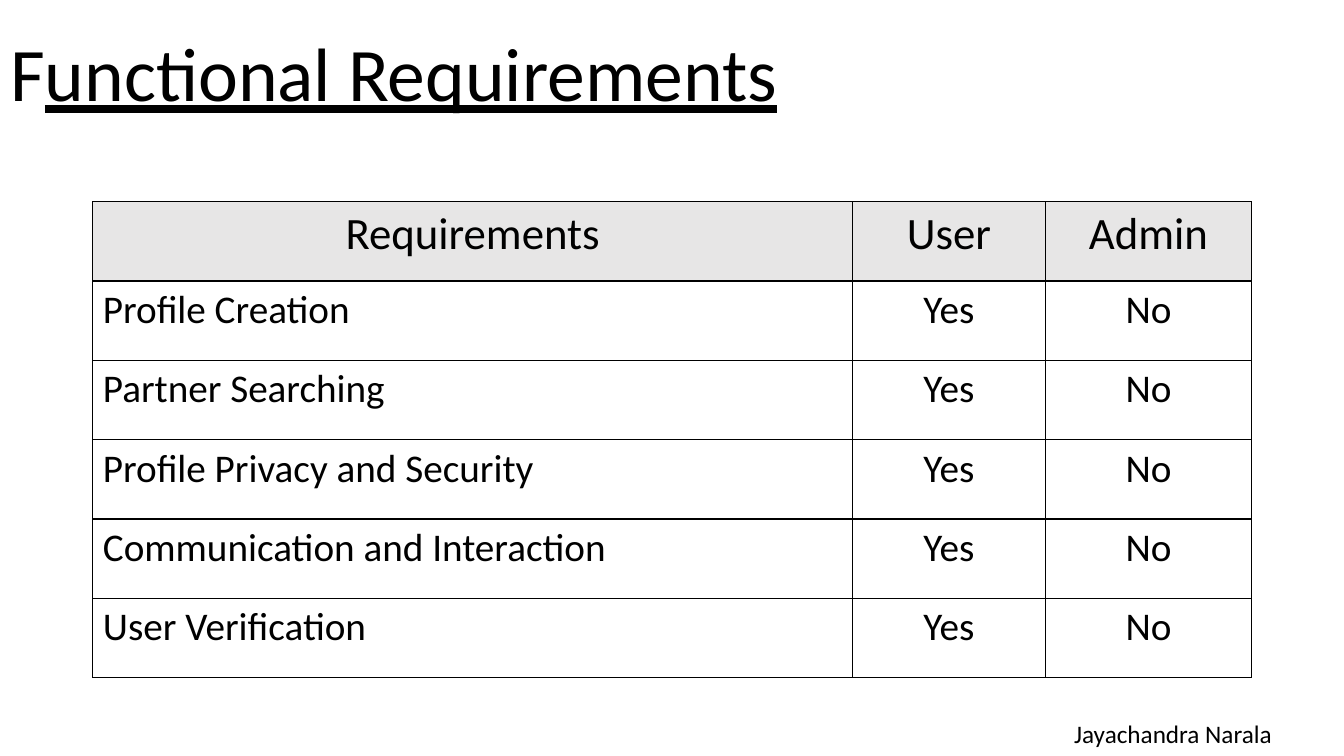
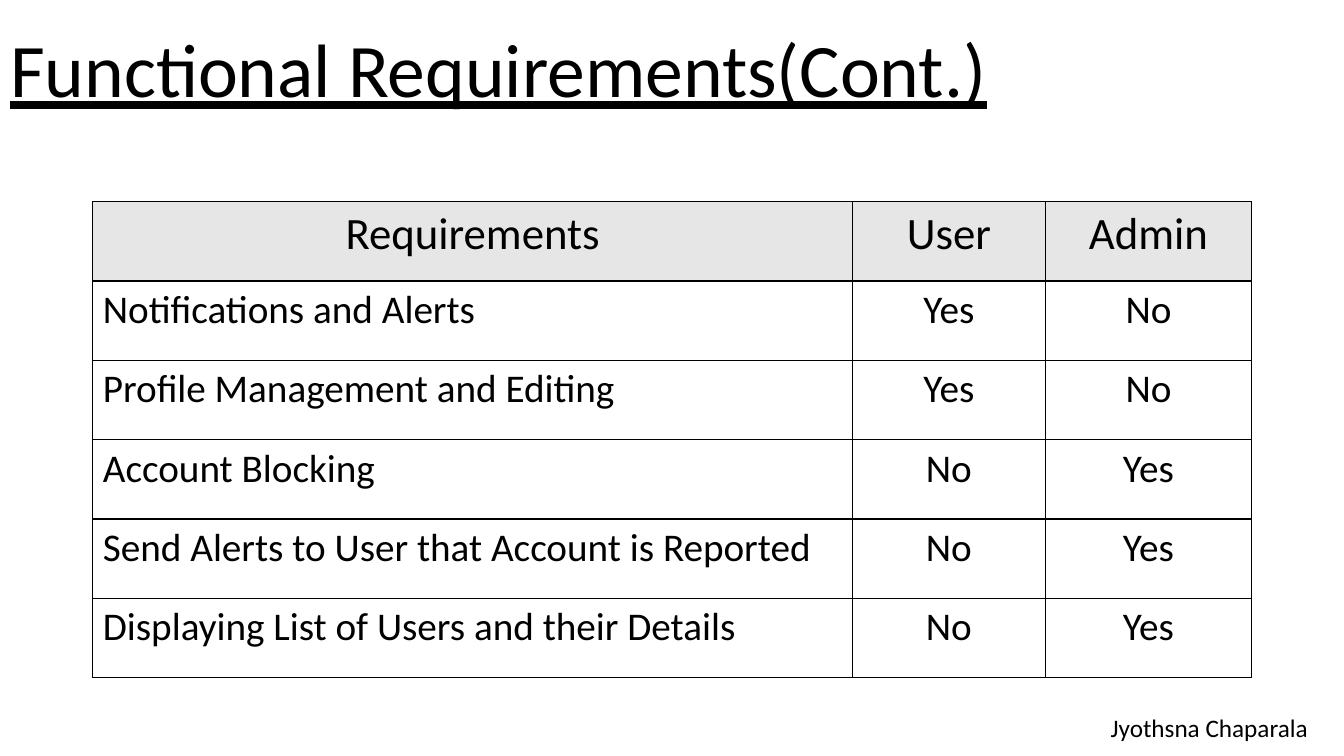
"""Build two slides that list functional requirements by role."""
from lxml.etree import SubElement
from pptx import Presentation
from pptx.dml.color import RGBColor
from pptx.enum.text import MSO_ANCHOR as Anchor, MSO_AUTO_SIZE as AutoSize, PP_ALIGN as Align
from pptx.oxml import parse_xml
from pptx.oxml.ns import nsdecls, qn
from pptx.util import Cm, Pt

BLACK = RGBColor(0x00, 0x00, 0x00)
HEADER_GRAY = RGBColor(0xE7, 0xE6, 0xE6)
FONT = "Calibri"
COLUMN_WIDTHS = [Cm(19.15), Cm(4.85), Cm(5.21)]
ROW_HEIGHT = Cm(2)
HEADER = ("Requirements", "User", "Admin")

SLIDES = [
    {
        "title": [("F", False), ("unctional Requirements", True)],
        "title_top": Cm(0.1),
        "rows": [
            ("Profile Creation", "Yes", "No"),
            ("Partner Searching", "Yes", "No"),
            ("Profile Privacy and Security", "Yes", "No"),
            ("Communication and Interaction", "Yes", "No"),
            ("User Verification", "Yes", "No"),
        ],
        "presenter": "Jayachandra Narala",
        "presenter_box": (Cm(26.82), Cm(17.98), Cm(8.03), Cm(1.02)),
    },
    {
        "title": [("Functional Requirements(Cont.)", True)],
        "title_top": Cm(0),
        "rows": [
            ("Notifications and Alerts", "Yes", "No"),
            ("Profile Management and Editing", "Yes", "No"),
            ("Account Blocking", "No", "Yes"),
            ("Send Alerts to User that Account is Reported", "No", "Yes"),
            ("Displaying List of Users and their Details", "No", "Yes"),
        ],
        "presenter": "Jyothsna Chaparala",
        "presenter_box": (Cm(27.74), Cm(17.83), Cm(7.59), Cm(1.02)),
    },
]


def add_run(paragraph, text, size, underline=None):
    run = paragraph.add_run()
    run.text = text
    run.font.name = FONT
    run.font.size = Pt(size)
    run.font.color.rgb = BLACK
    run.font.underline = underline


def add_borders(cell):
    properties = cell._tc.get_or_add_tcPr()
    for position, side in enumerate(("lnL", "lnR", "lnT", "lnB")):
        line = parse_xml(f'<a:{side} {nsdecls("a")} w="{Pt(1)}"/>')
        fill = SubElement(line, qn("a:solidFill"))
        SubElement(fill, qn("a:srgbClr"), val=str(BLACK))
        properties.insert(position, line)


presentation = Presentation()
presentation.slide_width = Cm(33.87)
presentation.slide_height = Cm(19.05)
title_only = presentation.slide_layouts[5]

for content in SLIDES:
    slide = presentation.slides.add_slide(title_only)

    title = slide.shapes.title
    title.left, title.top = Cm(0), content["title_top"]
    title.width, title.height = Cm(29.21), Cm(3.68)
    title.text_frame.auto_size = AutoSize.NONE
    title.text_frame.vertical_anchor = Anchor.MIDDLE
    paragraph = title.text_frame.paragraphs[0]
    paragraph.alignment = Align.LEFT
    paragraph.line_spacing = 0.9
    for text, underline in content["title"]:
        add_run(paragraph, text, 54, underline)

    rows = [HEADER, *content["rows"]]
    table = slide.shapes.add_table(
        len(rows), len(HEADER), Cm(2.34), Cm(5.08), sum(COLUMN_WIDTHS), ROW_HEIGHT * len(rows)
    ).table
    table.first_row = False
    table.horz_banding = False
    for column, width in zip(table.columns, COLUMN_WIDTHS):
        column.width = width
    for row_index, row in enumerate(rows):
        is_header = row_index == 0
        for column_index, text in enumerate(row):
            cell = table.cell(row_index, column_index)
            if is_header:
                cell.fill.solid()
                cell.fill.fore_color.rgb = HEADER_GRAY
            else:
                cell.fill.background()
            add_borders(cell)
            paragraph = cell.text_frame.paragraphs[0]
            paragraph.alignment = Align.CENTER if is_header or column_index else Align.LEFT
            add_run(paragraph, text, 32 if is_header else 28)

    presenter = slide.shapes.add_textbox(*content["presenter_box"])
    presenter.text_frame.word_wrap = True
    presenter.text_frame.auto_size = AutoSize.SHAPE_TO_FIT_TEXT
    add_run(presenter.text_frame.paragraphs[0], content["presenter"], 18)

presentation.save("out.pptx")
